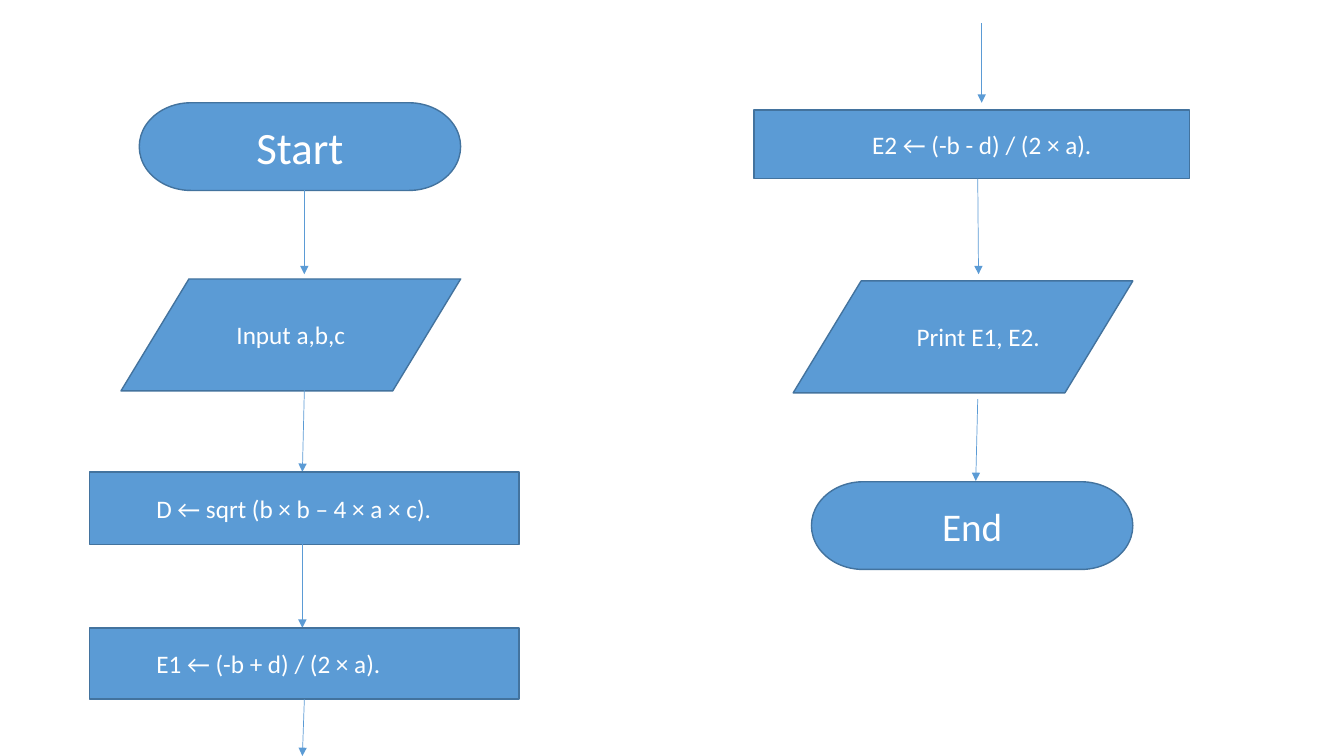
from dataclasses import dataclass

from lxml.etree import SubElement
from pptx import Presentation
from pptx.dml.color import RGBColor
from pptx.enum.shapes import MSO_CONNECTOR as Connector, MSO_SHAPE as Shape
from pptx.enum.text import MSO_ANCHOR as Anchor, PP_ALIGN as Align
from pptx.oxml.ns import qn
from pptx.util import Cm, Pt


@dataclass(frozen=True)
class Theme:
    font: str = "Calibri"
    fill: RGBColor = RGBColor(0x5B, 0x9B, 0xD5)
    outline: RGBColor = RGBColor(0x43, 0x73, 0x9E)
    text: RGBColor = RGBColor(0xFF, 0xFF, 0xFF)
    start_size: int = 32
    end_size: int = 28
    step_size: int = 18
    outline_width: float = 1
    arrow_width: float = 0.5


THEME = Theme()
TERMINATOR_SIZE = (8.1, 2.21)
DATA_SIZE = (8.56, 2.82)


def add_step(page, kind, position, size, text, indent=None, points=THEME.step_size):
    box = page.shapes.add_shape(kind, *map(Cm, position + size))
    box.shadow.inherit = False
    box.fill.solid()
    box.fill.fore_color.rgb = THEME.fill
    box.line.color.rgb = THEME.outline
    box.line.width = Pt(THEME.outline_width)
    frame = box.text_frame
    frame.word_wrap = True
    frame.vertical_anchor = Anchor.MIDDLE
    para = frame.paragraphs[0]
    if indent is None:
        para.alignment = Align.CENTER
    else:
        para.alignment = Align.LEFT
        properties = para._p.get_or_add_pPr()
        properties.set("marL", str(Cm(indent)))
        properties.set("indent", "0")
    span = para.add_run()
    span.text = text
    span.font.name = THEME.font
    span.font.size = Pt(points)
    span.font.color.rgb = THEME.text


def add_terminator(page, position, text, points):
    add_step(page, Shape.FLOWCHART_TERMINATOR, position, TERMINATOR_SIZE, text, points=points)


def add_data(page, position, text, indent=None):
    add_step(page, Shape.FLOWCHART_DATA, position, DATA_SIZE, text, indent)


def add_process(page, position, size, text, indent):
    add_step(page, Shape.FLOWCHART_PROCESS, position, size, text, indent)


def add_arrow(page, start, end):
    arrow = page.shapes.add_connector(Connector.STRAIGHT, *map(Cm, start + end))
    arrow.line.color.rgb = THEME.fill
    arrow.line.width = Pt(THEME.arrow_width)
    SubElement(arrow.line._get_or_add_ln(), qn("a:tailEnd"), type="triangle")
    SubElement(arrow._element.spPr, qn("a:effectLst"))


def main():
    deck = Presentation()
    deck.slide_width, deck.slide_height = Cm(33.87), Cm(19.05)
    page = deck.slides.add_slide(deck.slide_layouts[6])

    add_terminator(page, (3.51, 2.59), "Start", THEME.start_size)
    add_arrow(page, (7.67, 4.8), (7.67, 6.91))
    add_data(page, (3.05, 7.03), "Input a,b,c")
    add_arrow(page, (7.67, 9.83), (7.62, 11.89))
    add_process(page, (2.26, 11.89), (10.82, 1.83), "D ← sqrt (b × b – 4 × a × c).", 1.43)
    add_arrow(page, (7.62, 13.72), (7.62, 15.82))
    add_process(page, (2.26, 15.83), (10.82, 1.78), "E1 ← (-b + d) / (2 × a).", 1.43)
    add_arrow(page, (7.67, 17.62), (7.62, 19.05))

    add_arrow(page, (24.74, 0.58), (24.74, 2.59))
    add_process(page, (19, 2.77), (10.97, 1.73), "E2 ← (-b - d) / (2 × a).", 2.73)
    add_arrow(page, (24.64, 4.5), (24.66, 6.91))
    add_data(page, (19.99, 7.08), "Print E1, E2.", 1.15)
    add_arrow(page, (24.64, 10.06), (24.59, 12.12))
    add_terminator(page, (20.45, 12.14), "End", THEME.end_size)

    deck.save("out.pptx")


main()
